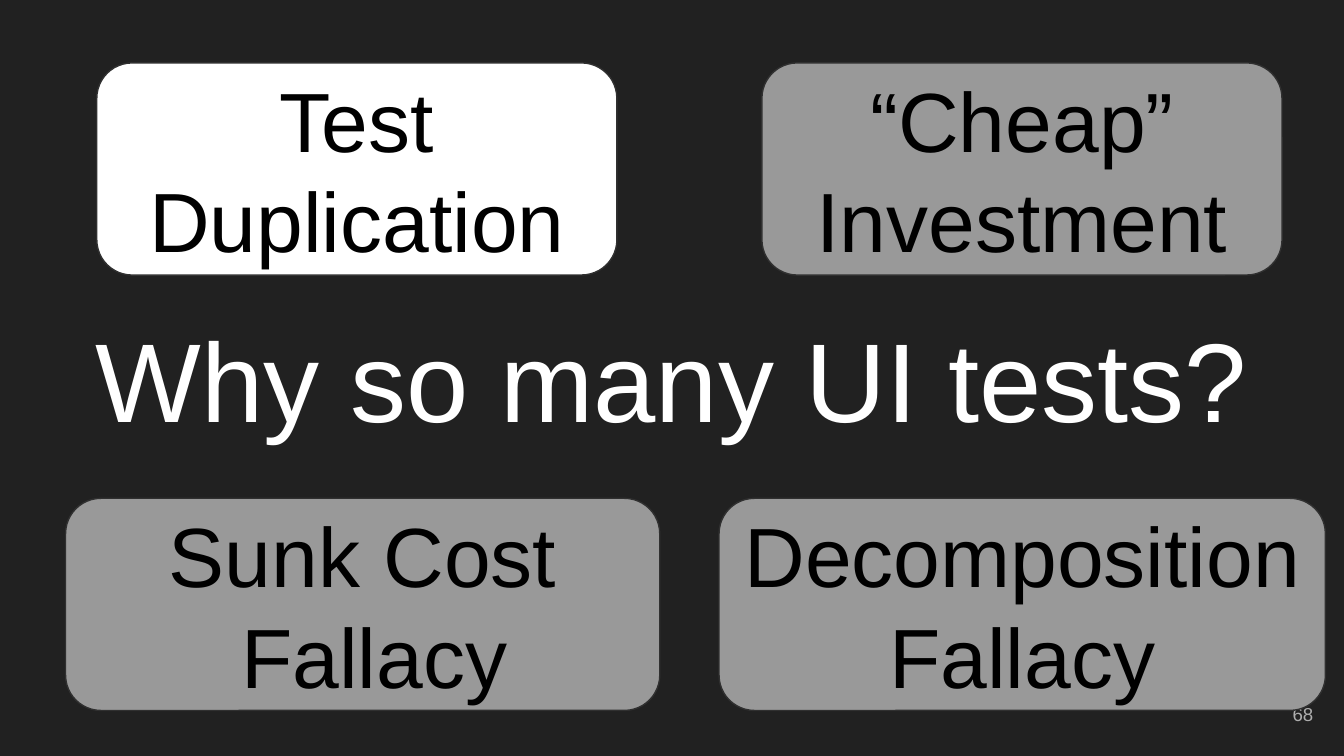
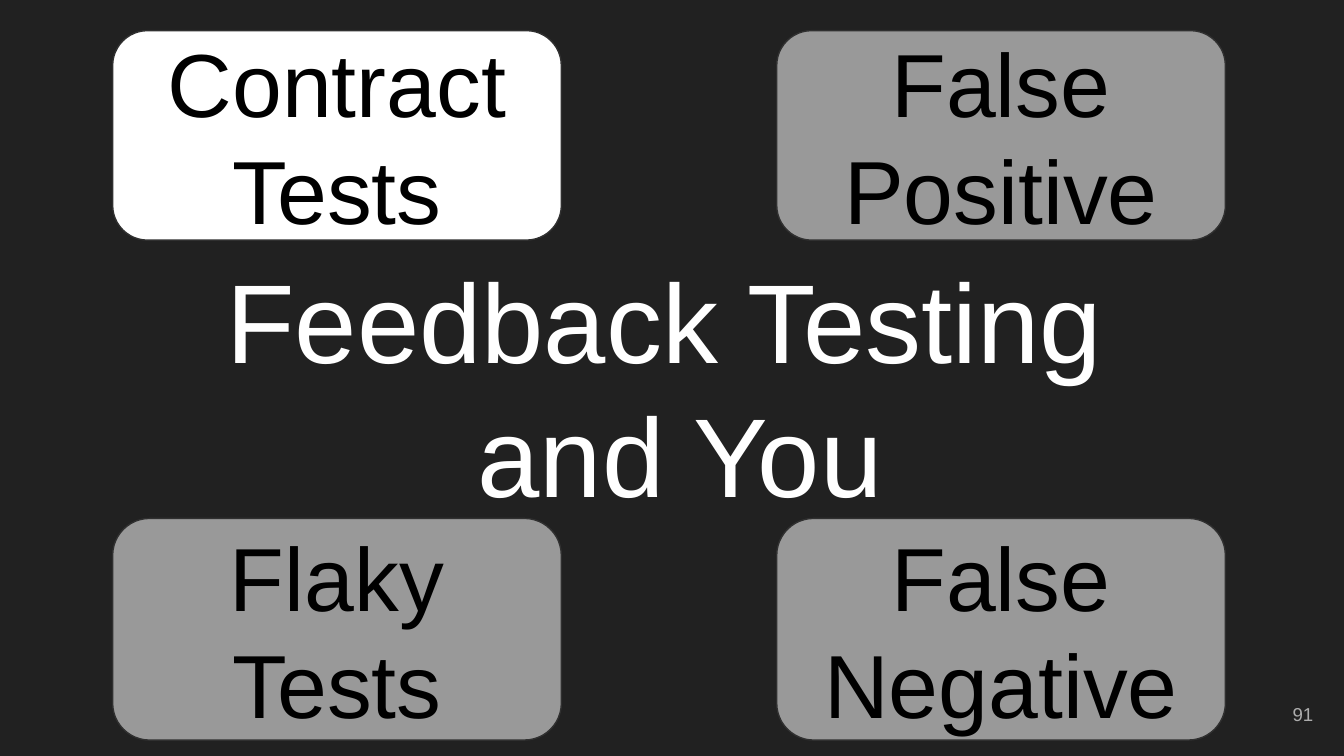
from pptx import Presentation
from pptx.dml.color import RGBColor
from pptx.enum.shapes import MSO_SHAPE as Shape
from pptx.enum.text import MSO_ANCHOR as Anchor, PP_ALIGN as Align
from pptx.util import Cm, Pt

COLORS = {
    "background": "212121",
    "title": "FFFFFF",
    "number": "ADADAD",
    "active": "FFFFFF",
    "dimmed": "999999",
    "outline": "303030",
    "label": "000000",
}
FONT = "Arial"
INSET = Cm(0.25)


def color(name):
    return RGBColor.from_string(COLORS[name])


def write(frame, text, *, size, ink, align=Align.CENTER):
    """Fill a text frame, one paragraph per line of text."""
    frame.word_wrap = True
    frame.vertical_anchor = Anchor.MIDDLE
    frame.margin_left = frame.margin_right = INSET
    frame.margin_top = frame.margin_bottom = INSET
    frame.text = text
    for paragraph in frame.paragraphs:
        paragraph.alignment = align
        for run in paragraph.runs:
            run.font.name = FONT
            run.font.size = Pt(size)
            run.font.color.rgb = color(ink)


class Deck:
    def __init__(self):
        self.prs = Presentation()
        self.prs.slide_width, self.prs.slide_height = Cm(25.4), Cm(14.29)
        self.slide = None

    def new_slide(self):
        self.slide = self.prs.slides.add_slide(self.prs.slide_layouts[6])
        fill = self.slide.background.fill
        fill.solid()
        fill.fore_color.rgb = color("background")

    def text(self, text, box, **style):
        label = self.slide.shapes.add_textbox(*map(Cm, box))
        write(label.text_frame, text, **style)

    def title(self, text, left, top, width):
        self.text(text, (left, top, width, 2.34), size=60, ink="title")

    def number(self, number):
        self.text(str(number), (23.55, 12.95, 1.52, 1.09),
                  size=10, ink="number", align=Align.RIGHT)

    def card(self, text, box, size, fill):
        card = self.slide.shapes.add_shape(
            Shape.ROUNDED_RECTANGLE, *map(Cm, box))
        card.shadow.inherit = False
        card.fill.solid()
        card.fill.fore_color.rgb = color(fill)
        card.line.color.rgb = color("outline")
        card.line.width = Pt(0.75)
        write(card.text_frame, text, size=size, ink="label")

    def topic(self, title, title_place, number, size, rows):
        """A central title with rows of cards; the first card is active."""
        self.new_slide()
        self.title(title, *title_place)
        self.number(number)
        fill = "active"
        for top, height, cards in rows:
            for text, left, width in cards:
                self.card(text, (left, top, width, height), size, fill)
                fill = "dimmed"


def main():
    deck = Deck()

    # Reasons for UI tests
    deck.topic("Why so many UI tests?", (0.86, 5.97, 23.67), 68, 45, [
        (1.19, 4.01, [("Test Duplication", 1.83, 9.83),
                      ("“Cheap” Investment", 14.4, 9.83)]),
        (9.42, 4.01, [("Sunk Cost\n Fallacy", 1.24, 11.23),
                      ("Decomposition Fallacy", 13.59, 11.46)]),
    ])

    # Feedback testing, on a regular grid
    left, right, width = 2.13, 14.68, 8.48
    deck.topic("Feedback Testing \nand You", (0.48, 6.12, 24.74), 91, 48, [
        (0.58, 3.96, [("Contract Tests", left, width),
                      ("False Positive", right, width)]),
        (9.8, 4.19, [("Flaky Tests", left, width),
                     ("False Negative", right, width)]),
    ])

    deck.prs.save("out.pptx")


if __name__ == "__main__":
    main()
